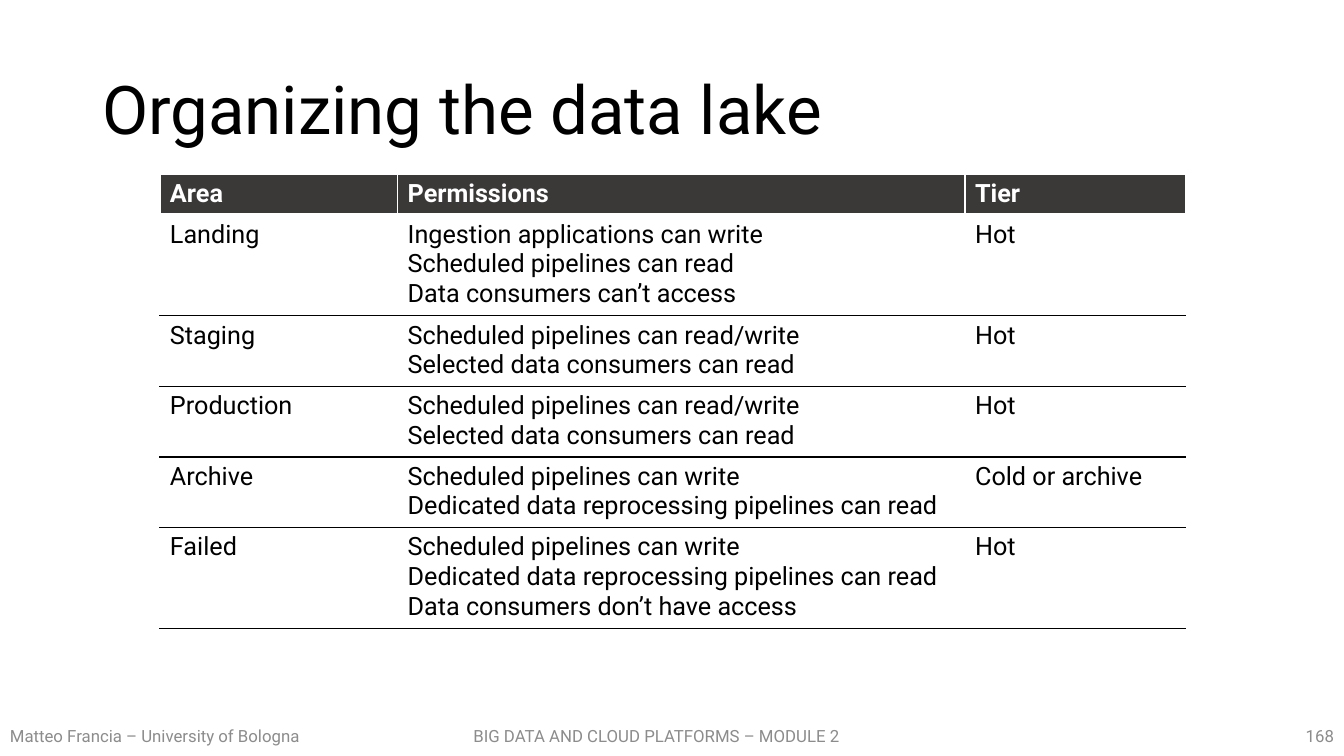
from lxml.etree import SubElement
from pptx import Presentation
from pptx.dml.color import RGBColor
from pptx.enum.text import MSO_ANCHOR, PP_ALIGN
from pptx.oxml.ns import qn
from pptx.util import Cm, Pt


def write(para, text, size, color, bold=False):
    for i, line in enumerate(text.split("\n")):
        if i:
            para.add_line_break()
        run = para.add_run()
        run.text = line
        font = run.font
        font.name = "Roboto"
        font.size = Pt(size)
        font.bold = bold
        font.color.rgb = RGBColor.from_string(color)


def edge(cell, side, color, width):
    line = SubElement(cell._tc.get_or_add_tcPr(), qn("a:" + side), w=str(Pt(width)))
    fill = SubElement(line, qn("a:solidFill"))
    SubElement(fill, qn("a:srgbClr"), val=color)


deck = Presentation()
deck.slide_width = Cm(33.87)
deck.slide_height = Cm(19.05)
slide = deck.slides.add_slide(deck.slide_layouts[6])

labels = [
    ("Organizing the data lake", 2.33, 1.01, 29.21, 3.68, 48, "000000", PP_ALIGN.LEFT),
    ("Matteo Francia – University of Bologna", 0, 18.03, 7.87, 1.02, 12, "8C8C8C", PP_ALIGN.LEFT),
    ("BIG DATA AND CLOUD PLATFORMS – MODULE 2", 11.68, 18.03, 10.5, 1.02, 12, "8C8C8C", PP_ALIGN.LEFT),
    ("168", 26.25, 18.03, 7.62, 1.02, 12, "8C8C8C", PP_ALIGN.RIGHT),
]
for text, left, top, width, height, size, color, align in labels:
    box = slide.shapes.add_textbox(Cm(left), Cm(top), Cm(width), Cm(height))
    frame = box.text_frame
    frame.word_wrap = True
    frame.vertical_anchor = MSO_ANCHOR.MIDDLE
    para = frame.paragraphs[0]
    para.alignment = align
    if size == 48:
        para.line_spacing = 0.9
    write(para, text, size, color)

rows = [
    ("Area", ["Permissions"], "Tier"),
    ("Landing", ["Ingestion applications can write",
                 "Scheduled pipelines can read\nData consumers can’t access"], "Hot"),
    ("Staging", ["Scheduled pipelines can read/write",
                 "Selected data consumers can read"], "Hot"),
    ("Production", ["Scheduled pipelines can read/write\nSelected data consumers can read"], "Hot"),
    ("Archive", ["Scheduled pipelines can write\n"
                 "Dedicated data reprocessing pipelines can read"], "Cold or archive"),
    ("Failed", ["Scheduled pipelines can write\n"
                "Dedicated data reprocessing pipelines can read\n"
                "Data consumers don’t have access"], "Hot"),
]
widths = [5.99, 14.3, 5.56]
heights = [1, 2.49, 1.75, 1.75, 1.75, 2.49]

table = slide.shapes.add_table(
    len(rows), len(widths), Cm(4.03), Cm(4.4), Cm(sum(widths)), Cm(sum(heights))
).table
table.horz_banding = False
for col, width in zip(table.columns, widths):
    col.width = Cm(width)

for r, (area, rights, tier) in enumerate(rows):
    table.rows[r].height = Cm(heights[r])
    head = r == 0
    above = [("FFFFFF", 1), ("FFFFFF", 3)][r] if r < 2 else ("000000", 1)
    below = ("FFFFFF", 3) if head else ("000000", 1)
    for c, paras in enumerate([[area], rights, [tier]]):
        cell = table.cell(r, c)
        edge(cell, "lnL", "FFFFFF", 1)
        edge(cell, "lnR", "FFFFFF", 1)
        edge(cell, "lnT", *above)
        edge(cell, "lnB", *below)
        if head:
            cell.fill.solid()
            cell.fill.fore_color.rgb = RGBColor.from_string("3B3838")
        else:
            cell.fill.background()
        frame = cell.text_frame
        for i, text in enumerate(paras):
            para = frame.add_paragraph() if i else frame.paragraphs[0]
            write(para, text, 18, "FFFFFF" if head else "000000", head)

deck.save("out.pptx")
